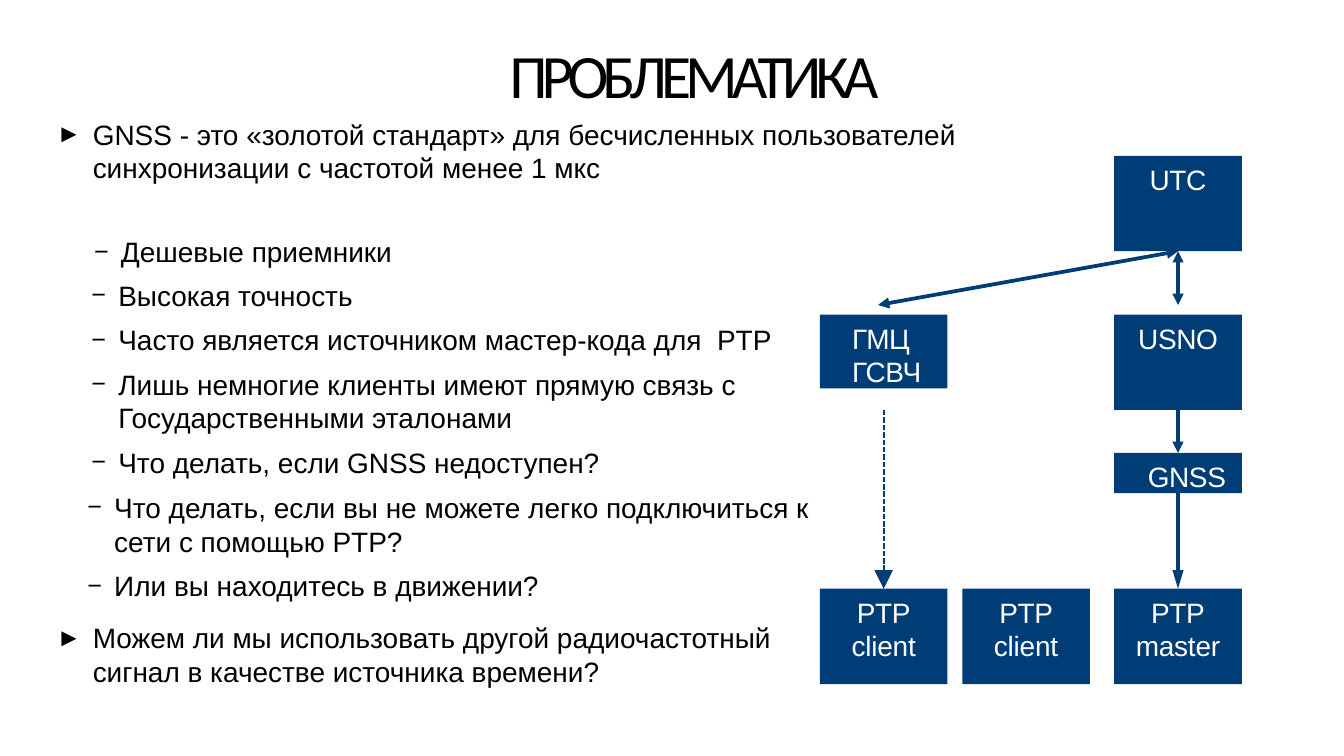
import pptx
import pptx.dml.color
import pptx.enum.dml
import pptx.enum.shapes
import pptx.enum.text
import pptx.oxml
import pptx.oxml.ns
import pptx.util

Pt = pptx.util.Pt
ALIGN = pptx.enum.text.PP_ALIGN
ANCHOR = pptx.enum.text.MSO_ANCHOR
THEME = {
    "text": "000000", "navy": "003D76", "white": "FFFFFF",
    "title_font": "Calibri", "body_font": "Arial",
    "title_size": 33, "body_size": 15,
}

SLIDE_SIZE = (720, 405)
TITLE = ("ПРОБЛЕМАТИКА", (272.9, -9.4, 223.9, 69.1))

MAIN, SUB = "►", "−"
LISTS = [
    {"frame": (28.8, 56.9, 554.4, 88.6), "top": 5.8, "items": [
        (MAIN, "GNSS - это «золотой стандарт» для бесчисленных пользователей "
               "синхронизации с частотой менее 1 мкс", 20.9, 5.9),
        (SUB, "Дешевые приемники", 36, 27)]},
    {"frame": (27.4, 143.3, 398.2, 115.2), "top": 5.8, "items": [
        (SUB, "Высокая точность", 36, 5.8),
        (SUB, "Часто является источником мастер-кода для  PTP", 36, 5.8),
        (SUB, "Лишь немногие клиенты имеют прямую связь с Государственными эталонами", 36, 5.8),
        (SUB, "Что делать, если GNSS недоступен?", 36, 5.8)]},
    {"frame": (46.1, 257, 409.7, 66.2), "top": 5.8, "items": [
        (SUB, "Что делать, если вы не можете легко подключиться к сети с помощью PTP?", 15.1, 5.9),
        (SUB, "Или вы находитесь в движении?", 15.1, 5.9)]},
    {"frame": (28.8, 331.9, 419.8, 37.4), "top": 0.7, "items": [
        (MAIN, "Можем ли мы использовать другой радиочастотный сигнал "
               "в качестве источника времени?", 20.9, 1)]},
]
HANGING = {MAIN: 19.4, SUB: 14.4}

BOX_WIDTH = 68.4
COLUMNS = {"client": 439.2, "second client": 515.5, "master": 596.9}
BOXES = {
    "ГМЦ": ("client", 168.5, 39.6, ["ГМЦ ГСВЧ"], 17.3),
    "UTC": ("master", 83.5, 51.1, ["UTC"], None),
    "USNO": ("master", 168.5, 51.1, ["USNO"], None),
    "GNSS": ("master", 242.6, 21.6, ["GNSS"], 18),
    "master": ("master", 315.4, 51.1, ["PTP", "master"], None),
    "second client": ("second client", 315.4, 51.1, ["PTP", "client"], None),
    "client": ("client", 315.4, 51.1, ["PTP", "client"], None),
}

MASTER_AXIS = COLUMNS["master"] + BOX_WIDTH / 2
CLIENT_AXIS = COLUMNS["client"] + BOX_WIDTH / 2
ARROWS = [
    {"start": "UTC", "end": (CLIENT_AXIS - 3, 163.4), "both": True, "width": 2},
    {"start": "UTC", "end": (MASTER_AXIS, 163.4), "both": True, "width": 2},
    {"start": "USNO", "end": "GNSS", "width": 1.8},
    {"start": "GNSS", "end": "master", "width": 1.8, "length": "lg"},
    {"start": (CLIENT_AXIS, 219.6), "end": "client", "width": 1,
     "dashed": True, "length": "lg", "breadth": "lg"},
]


def color(name):
    return pptx.dml.color.RGBColor.from_string(THEME[name])


def points(values):
    return [Pt(value) for value in values]


def place(shape, frame):
    shape.left, shape.top, shape.width, shape.height = points(frame)


def prepare_frame(shape, top, anchor=ANCHOR.TOP):
    frame = shape.text_frame
    frame.word_wrap = True
    frame.auto_size = pptx.enum.text.MSO_AUTO_SIZE.NONE
    frame.vertical_anchor = anchor
    frame.margin_left = frame.margin_right = frame.margin_bottom = 0
    frame.margin_top = Pt(top)
    return frame


def xml_child(parent, tag, **attributes):
    child = pptx.oxml.parse_xml(f"<a:{tag} {pptx.oxml.ns.nsdecls('a')}/>")
    for name, value in attributes.items():
        child.set(name, str(value))
    parent.append(child)


def write_text(frame, text, index=0, size="body_size", font="body_font", fill="text",
               align=ALIGN.LEFT, before=0, left=0, hanging=0, bullet=None, spacing=0):
    paragraph = frame.paragraphs[0] if index == 0 else frame.add_paragraph()
    paragraph.alignment = align
    paragraph.space_before = Pt(before)
    properties = paragraph._p.get_or_add_pPr()
    properties.set("marL", str(Pt(left)))
    properties.set("indent", str(-Pt(hanging)))
    if bullet:
        xml_child(properties, "buSzPct", val=90000)
        xml_child(properties, "buFont", typeface=THEME[font])
        xml_child(properties, "buChar", char=bullet)
    else:
        xml_child(properties, "buNone")
    run = paragraph.add_run()
    run.text = text
    run.font.size = Pt(THEME[size])
    run.font.name = THEME[font]
    run.font.bold = False
    run.font.color.rgb = color(fill)
    if spacing:
        run._r.get_or_add_rPr().set("spc", str(round(spacing * 100)))


def add_box(slide, column, top, height, lines, indent):
    shape = slide.shapes.add_shape(pptx.enum.shapes.MSO_SHAPE.RECTANGLE,
                                   *points((COLUMNS[column], top, BOX_WIDTH, height)))
    shape.shadow.inherit = False
    shape.fill.solid()
    shape.fill.fore_color.rgb = color("navy")
    shape.line.fill.background()
    frame = prepare_frame(shape, 3.6)
    for index, line in enumerate(lines):
        write_text(frame, line, index, fill="white", left=indent or 0,
                   align=ALIGN.LEFT if indent else ALIGN.CENTER,
                   before=0 if index else 3.3, spacing=-0.1 if index else -0.2)
    return shape


def add_arrow(slide, boxes, start, end, width, both=False, dashed=False,
              length="med", breadth="med"):
    ends = [(0, 0) if isinstance(point, str) else point for point in (start, end)]
    connector = slide.shapes.add_connector(pptx.enum.shapes.MSO_CONNECTOR.STRAIGHT,
                                           *points(ends[0] + ends[1]))
    if isinstance(start, str):
        connector.begin_connect(boxes[start], 2)
    if isinstance(end, str):
        connector.end_connect(boxes[end], 0)
    connector.line.width = Pt(width)
    connector.line.color.rgb = color("navy")
    if dashed:
        connector.line.dash_style = pptx.enum.dml.MSO_LINE.SQUARE_DOT
        connector.line._ln.find(pptx.oxml.ns.qn("a:prstDash")).set("val", "sysDash")
    for tag in ("headEnd", "tailEnd") if both else ("tailEnd",):
        xml_child(connector.line._ln, tag, type="triangle", w=breadth, len=length)
    xml_child(connector._element.spPr, "effectLst")


def main():
    presentation = pptx.Presentation()
    presentation.slide_width, presentation.slide_height = points(SLIDE_SIZE)
    slide = presentation.slides.add_slide(presentation.slide_layouts[4])

    title, title_frame = TITLE
    place(slide.shapes.title, title_frame)
    write_text(prepare_frame(slide.shapes.title, 28.8, ANCHOR.MIDDLE), title,
               size="title_size", font="title_font", before=1, spacing=-3.2)

    for number, block in enumerate(LISTS, 1):
        body = slide.placeholders[number]
        place(body, block["frame"])
        frame = prepare_frame(body, block["top"])
        for index, (bullet, text, left, before) in enumerate(block["items"]):
            write_text(frame, text, index, bullet=bullet, left=left,
                       hanging=HANGING[bullet], before=before)

    boxes = {name: add_box(slide, *box) for name, box in BOXES.items()}
    for arrow in ARROWS:
        add_arrow(slide, boxes, **arrow)
    presentation.save("out.pptx")


if __name__ == "__main__":
    main()
